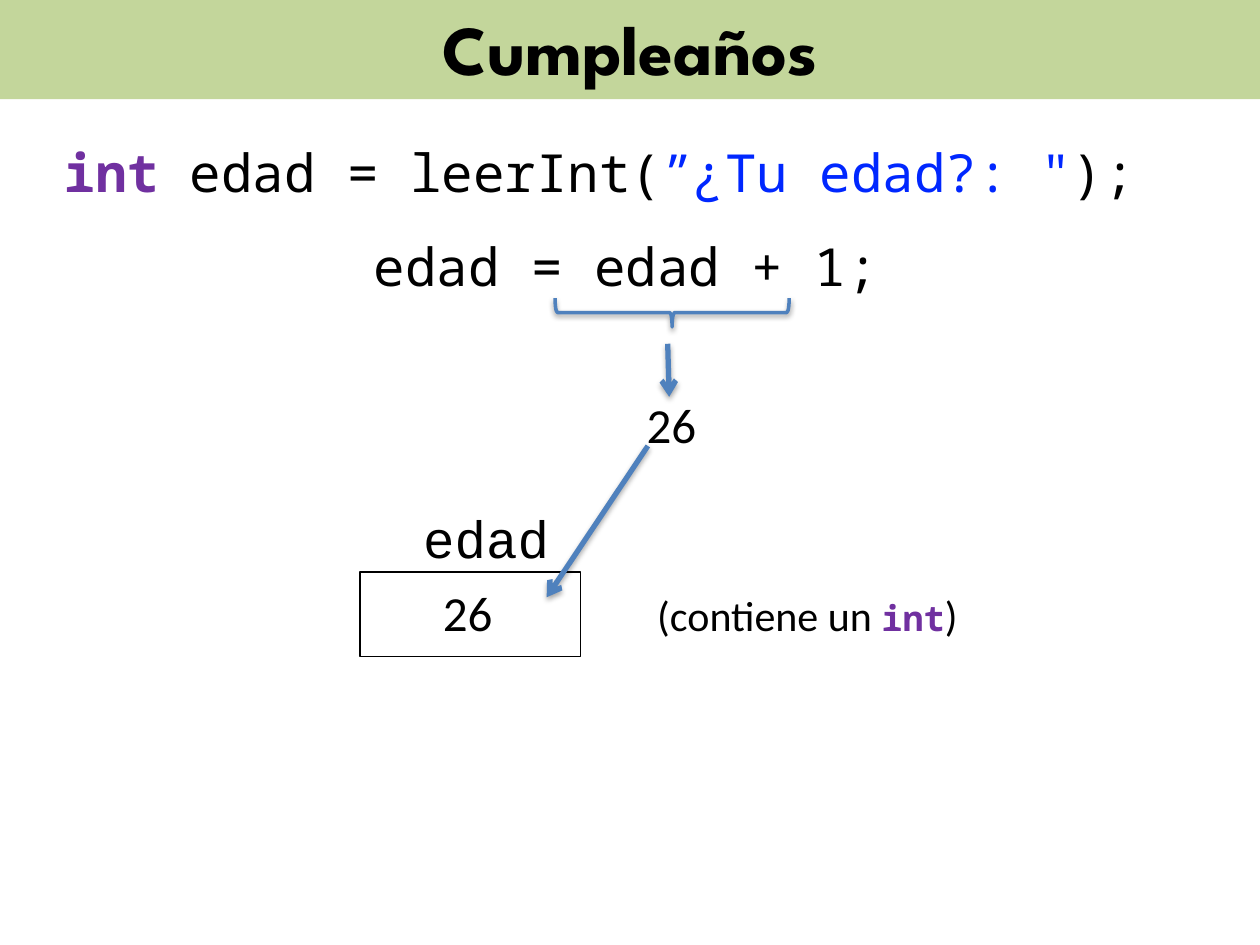
from lxml import etree
from pptx import Presentation
from pptx.dml.color import RGBColor
from pptx.enum.shapes import MSO_CONNECTOR, MSO_SHAPE
from pptx.enum.text import MSO_ANCHOR, MSO_AUTO_SIZE, PP_ALIGN
from pptx.oxml.ns import qn
from pptx.util import Cm, Pt

BLACK = RGBColor(0x00, 0x00, 0x00)
WHITE = RGBColor(0xFF, 0xFF, 0xFF)
GREEN = RGBColor(0xC3, 0xD6, 0x9B)
PURPLE = RGBColor(0x70, 0x30, 0xA0)
STRING_BLUE = RGBColor(0x00, 0x27, 0xFF)
LINE_BLUE = RGBColor(0x4F, 0x81, 0xBD)
MONO = "Noto Sans Mono"


def write(sp, *runs, font="Calibri", size=28, align=PP_ALIGN.LEFT, wrap=False,
          anchor=MSO_ANCHOR.TOP, fit=MSO_AUTO_SIZE.SHAPE_TO_FIT_TEXT):
    """Fill sp with one paragraph; a run is (text, format overrides)."""
    tf = sp.text_frame
    tf.word_wrap = wrap
    tf.auto_size = fit
    tf.vertical_anchor = anchor
    p = tf.paragraphs[0]
    p.alignment = align
    for text, fmt in runs:
        r = p.add_run()
        r.text = text
        r.font.name = fmt.get("font", font)
        r.font.size = Pt(fmt.get("size", size))
        r.font.bold = fmt.get("bold", False)
        r.font.color.rgb = fmt.get("color", BLACK)


def add_shadow(sp, opacity, distance):
    """Drop a soft black shadow straight below sp; call after its line is set."""
    props = sp._element.spPr
    for old in props.findall(qn("a:effectLst")):
        props.remove(old)
    effects = etree.SubElement(props, qn("a:effectLst"))
    shadow = etree.SubElement(effects, qn("a:outerShdw"), blurRad=str(Pt(3.15)),
                              dist=str(Pt(distance)), dir="5400000", rotWithShape="0")
    color = etree.SubElement(shadow, qn("a:srgbClr"), val=str(BLACK))
    etree.SubElement(color, qn("a:alpha"), val=str(opacity * 1000))


prs = Presentation()
prs.slide_width, prs.slide_height = Cm(25.4), Cm(19.05)
slide = prs.slides.add_slide(prs.slide_layouts[6])
shapes = slide.shapes

# Title band
band = shapes.add_shape(MSO_SHAPE.RECTANGLE, Cm(0), Cm(-0.08), Cm(25.4), Cm(2.08))
band.shadow.inherit = False
band.fill.solid()
band.fill.fore_color.rgb = GREEN
band.line.fill.background()
write(band, ("Cumpleaños", {"bold": True}), font="League Spartan", size=40,
      align=PP_ALIGN.CENTER, wrap=True, anchor=MSO_ANCHOR.MIDDLE,
      fit=MSO_AUTO_SIZE.NONE)

# Box of the variable
variable = shapes.add_shape(MSO_SHAPE.RECTANGLE, Cm(7.26), Cm(11.53), Cm(4.45), Cm(1.7))
variable.shadow.inherit = False
variable.fill.solid()
variable.fill.fore_color.rgb = WHITE
variable.line.color.rgb = BLACK
variable.line.width = Pt(0.75)

# Brace under the expression
brace = shapes.add_shape(MSO_SHAPE.LEFT_BRACE, Cm(13.26), Cm(3.94), Cm(0.58), Cm(4.72))
brace.rotation = 270
brace.fill.background()
brace.line.color.rgb = LINE_BLUE
brace.line.width = Pt(2)
add_shadow(brace, 38, 1.6)

# Code and labels: left, top, width, height, runs, format
keyword = {"color": PURPLE, "bold": True}
code = {"font": MONO, "size": 30}
value = {"align": PP_ALIGN.CENTER, "wrap": True}
labels = [
    (1.04, 2.69, 22.96, 1.55,
     [("int ", keyword), ("edad = leerInt(", {}),
      ("”¿Tu edad?: \"", {"color": STRING_BLUE}), (");", {})], code),
    (7.29, 4.6, 10.77, 1.55, [("edad = edad + 1;", {})], code),
    (8.28, 10.08, 3.07, 1.55, [("edad", {})], {"font": "Courier New", "size": 30}),
    (13, 11.76, 6.63, 1.27,
     [("(contiene un ", {}), ("int", {**keyword, "font": MONO, "size": 20}), (")", {})],
     {"size": 24}),
    (7.26, 11.61, 4.34, 1.45, [("26", {})], value),
    (10.97, 7.82, 5.13, 1.45, [("26", {})], value),
]
for left, top, width, height, runs, fmt in labels:
    box = shapes.add_textbox(Cm(left), Cm(top), Cm(width), Cm(height))
    write(box, *runs, **fmt)

# Arrows: expression to its value, value to the variable
for x1, y1, x2, y2 in [(13.46, 6.93, 13.49, 8), (13.06, 8.99, 11.02, 12.04)]:
    arrow = shapes.add_connector(MSO_CONNECTOR.STRAIGHT, Cm(x1), Cm(y1), Cm(x2), Cm(y2))
    arrow.line.color.rgb = LINE_BLUE
    arrow.line.width = Pt(3)
    etree.SubElement(arrow.line._get_or_add_ln(), qn("a:tailEnd"), type="arrow")
    add_shadow(arrow, 35, 1.8)

prs.save("out.pptx")
